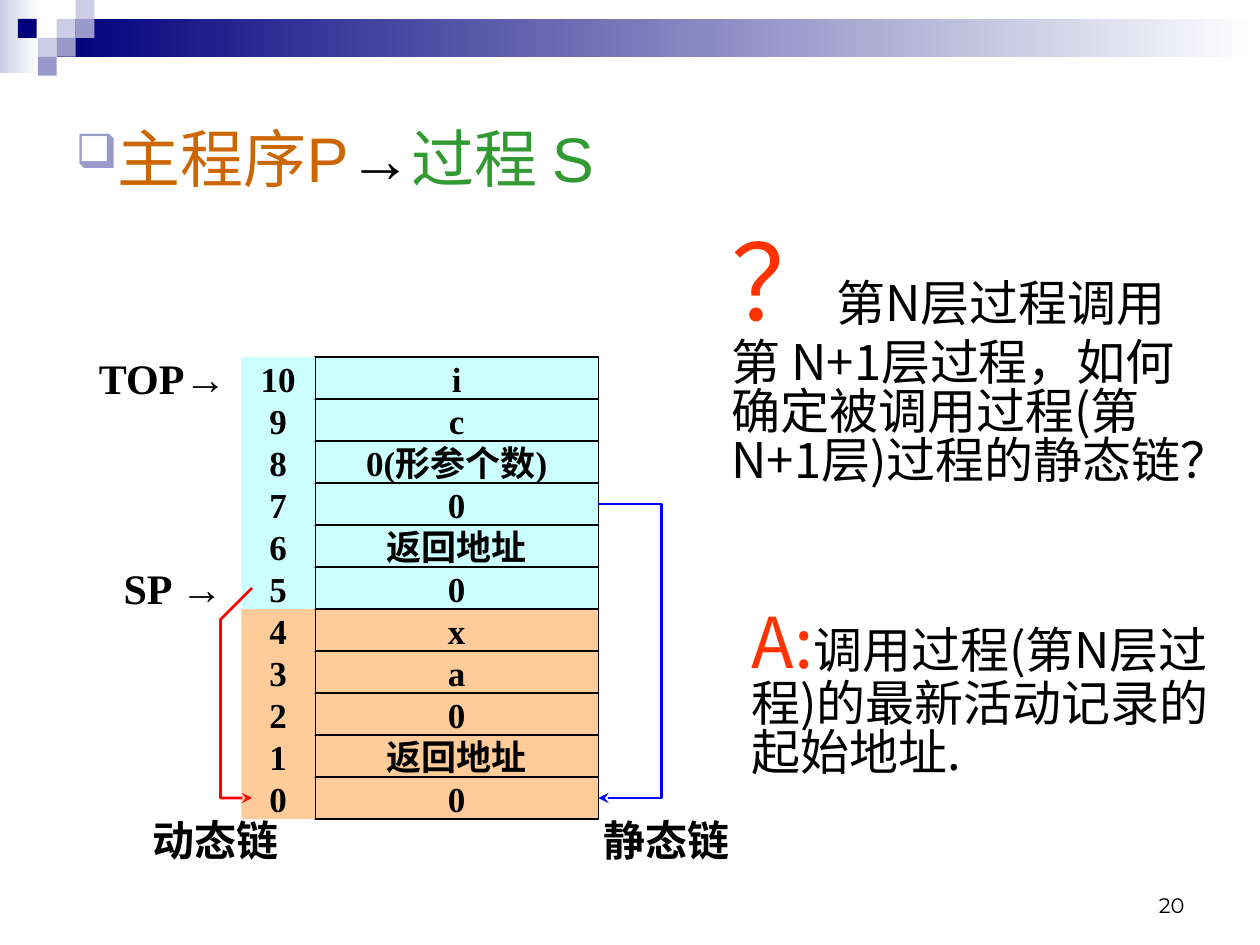
from dataclasses import dataclass
from typing import NamedTuple

from lxml import etree
from pptx import Presentation
from pptx.dml.color import RGBColor
from pptx.enum.shapes import MSO_SHAPE
from pptx.enum.text import MSO_ANCHOR, PP_ALIGN
from pptx.oxml.ns import qn
from pptx.util import Pt

PX = 7620
RECTANGLE = MSO_SHAPE.RECTANGLE
TOP, MIDDLE, BOTTOM = MSO_ANCHOR.TOP, MSO_ANCHOR.MIDDLE, MSO_ANCHOR.BOTTOM
LEFT, CENTER, RIGHT = PP_ALIGN.LEFT, PP_ALIGN.CENTER, PP_ALIGN.RIGHT


@dataclass(frozen=True)
class Theme:
    black: str = "000000"
    white: str = "FFFFFF"
    navy: str = "00007D"
    lavender: str = "9999CC"
    pale: str = "CCCCE6"
    callee: str = "CCFFFF"
    caller: str = "FFCC99"
    orange: str = "CC6600"
    green: str = "339933"
    accent: str = "FF3300"
    red: str = "FF0000"
    blue: str = "0000FF"
    serif: str = "Times New Roman"
    sans: str = "Arial"
    chinese: str = "Noto Sans CJK SC"
    number: str = "Montserrat"
    small: int = 12
    cell: int = 20
    label: int = 24
    body: int = 28
    title: int = 36
    answer: int = 40
    question: int = 60


THEME = Theme()


class Area(NamedTuple):
    left: int
    top: int
    width: int
    height: int


class Span(NamedTuple):
    text: str
    size: int
    font: str = THEME.serif
    color: str = THEME.black
    bold: bool = False


class Block(NamedTuple):
    area: Area
    colors: tuple[str, ...]


class Label(NamedTuple):
    area: Area
    spans: list[Span]
    align: PP_ALIGN = CENTER
    anchor: MSO_ANCHOR = MIDDLE
    wrap: bool = False
    spacing: float = 1.0
    top_inset: int = 6


class Chain(NamedTuple):
    points: list[tuple[int, int]]
    color: str


BLOCKS = [
    Block(Area(0, 0, 37, 70), (THEME.pale, THEME.white)),
    Block(Area(54, 18, 1146, 36), (THEME.navy, THEME.white)),
    Block(Area(54, 18, 18, 18), (THEME.pale,)),
    Block(Area(72, 0, 18, 18), (THEME.pale,)),
    Block(Area(72, 18, 18, 18), (THEME.lavender,)),
    Block(Area(36, 36, 18, 18), (THEME.pale,)),
    Block(Area(17, 18, 18, 18), (THEME.navy,)),
    Block(Area(54, 36, 18, 18), (THEME.lavender,)),
    Block(Area(36, 54, 18, 18), (THEME.lavender,)),
]
TITLE_AREA = Area(60, 60, 1080, 180)
TITLE = [
    Span("主程序P", THEME.title, THEME.sans, THEME.orange),
    Span("→", THEME.title, THEME.sans),
    Span("过程 S", THEME.title, THEME.sans, THEME.green),
]
STACK = ["i", "c", "0(形参个数)", "0", "返回地址", "0", "x", "a", "0", "返回地址", "0"]
CALLEE_ROWS = 6
STACK_TOP, ROW = 340, 40
INDEX_LEFT, INDEX_WIDTH = 230, 70
VALUE_LEFT, VALUE_WIDTH = 300, 270


def bold(text: str, font: str = THEME.serif) -> Span:
    return Span(text, THEME.label, font, bold=True)


LABELS = [
    Label(Area(80, 540, 170, 40), [bold("SP "), bold("→", THEME.sans)]),
    Label(Area(70, 340, 170, 40), [bold("TOP"), bold("→", THEME.sans)]),
    Label(Area(120, 780, 170, 40), [bold("动态链")]),
    Label(Area(550, 780, 170, 40), [bold("静态链")]),
    Label(Area(685, 214, 482, 356), [
        Span("？", THEME.question, THEME.chinese, THEME.accent),
        Span("第N层过程调用第 N+1层过程，如何确定被调用过程(第 N+1层)过程的静态链？",
             THEME.body, THEME.chinese),
    ], LEFT, TOP, True, 0.83, 12),
    Label(Area(704, 572, 463, 204), [
        Span("A:", THEME.answer, THEME.chinese, THEME.accent),
        Span("调用过程(第N层过程)的最新活动记录的起始地址.", THEME.body, THEME.chinese),
    ], LEFT, TOP, True, 0.83, 12),
    Label(Area(860, 820, 280, 60), [Span("20", THEME.small, THEME.number)],
          RIGHT, BOTTOM, True),
]
CHAINS = [
    Chain([(240, 560), (210, 590), (210, 760), (240, 760)], THEME.red),
    Chain([(570, 480), (630, 480), (630, 760), (570, 760)], THEME.blue),
]


def scaled(area: Area) -> list[int]:
    return [value * PX for value in area]


def apply(target, values: dict) -> None:
    for name, value in values.items():
        setattr(target, name, value)


def write(frame, spans: list[Span], align=CENTER, anchor=MIDDLE, wrap=False,
          spacing=1.0, top_inset=6, bottom_inset=6) -> None:
    apply(frame, {"word_wrap": wrap, "vertical_anchor": anchor,
                  "margin_left": 12 * PX, "margin_right": 12 * PX,
                  "margin_top": top_inset * PX, "margin_bottom": bottom_inset * PX})
    para = frame.paragraphs[0]
    apply(para, {"alignment": align, "line_spacing": spacing})
    for span in spans:
        run = para.add_run()
        run.text = span.text
        apply(run.font, {"size": Pt(span.size), "name": span.font, "bold": span.bold})
        run.font.color.rgb = RGBColor.from_string(span.color)
        east = etree.Element(qn("a:ea"), typeface=THEME.chinese)
        run.font._element.find(qn("a:latin")).addnext(east)


def draw_block(page, block: Block, outlined: bool = False):
    box = page.shapes.add_shape(RECTANGLE, *scaled(block.area))
    box.shadow.inherit = False
    if len(block.colors) > 1:
        box.fill.gradient()
        box.fill.gradient_angle = 0
        for position, (stop, color) in enumerate(zip(box.fill.gradient_stops, block.colors)):
            stop.position = position
            stop.color.rgb = RGBColor.from_string(color)
    else:
        box.fill.solid()
        box.fill.fore_color.rgb = RGBColor.from_string(block.colors[0])
    if outlined:
        box.line.color.rgb = RGBColor.from_string(THEME.black)
        box.line.width = Pt(1)
    else:
        box.line.fill.background()
    return box


def draw_title(page) -> None:
    title = page.shapes.title
    apply(title, dict(zip(("left", "top", "width", "height"), scaled(TITLE_AREA))))
    properties = title.text_frame.paragraphs[0]._p.get_or_add_pPr()
    apply_indent = {"marL": "0", "indent": "0"}
    properties.attrib.update(apply_indent)
    color = etree.SubElement(properties, qn("a:buClr"))
    etree.SubElement(color, qn("a:srgbClr"), val=THEME.lavender)
    etree.SubElement(properties, qn("a:buSzPct"), val="75000")
    etree.SubElement(properties, qn("a:buChar"), char="❑")
    write(title.text_frame, TITLE, LEFT, wrap=True)


def draw_row(page, row: int, value: str) -> None:
    color = THEME.callee if row < CALLEE_ROWS else THEME.caller
    top = STACK_TOP + row * ROW
    index = str(len(STACK) - 1 - row)
    for left, width, text, outlined in ((VALUE_LEFT, VALUE_WIDTH, value, True),
                                        (INDEX_LEFT, INDEX_WIDTH, index, False)):
        box = draw_block(page, Block(Area(left, top, width, ROW), (color,)), outlined)
        write(box.text_frame, [Span(text, THEME.cell, bold=True)],
              top_inset=0, bottom_inset=0)


def draw_label(page, label: Label) -> None:
    box = page.shapes.add_textbox(*scaled(label.area))
    write(box.text_frame, *label[1:])


def draw_chain(page, chain: Chain) -> None:
    start, *rest = chain.points
    builder = page.shapes.build_freeform(*start, scale=PX)
    builder.add_line_segments(rest, close=False)
    line = builder.convert_to_shape()
    line.shadow.inherit = False
    line.fill.background()
    line.line.color.rgb = RGBColor.from_string(chain.color)
    line.line.width = Pt(1.5)
    etree.SubElement(line.line._get_or_add_ln(), qn("a:tailEnd"), type="stealth")


def main() -> None:
    deck = Presentation()
    apply(deck, {"slide_width": 1200 * PX, "slide_height": 900 * PX})
    page = deck.slides.add_slide(deck.slide_layouts[5])
    for block in BLOCKS:
        draw_block(page, block)
    draw_title(page)
    for row in reversed(range(len(STACK))):
        draw_row(page, row, STACK[row])
    for label in LABELS:
        draw_label(page, label)
    for chain in CHAINS:
        draw_chain(page, chain)
    deck.save("out.pptx")


if __name__ == "__main__":
    main()
